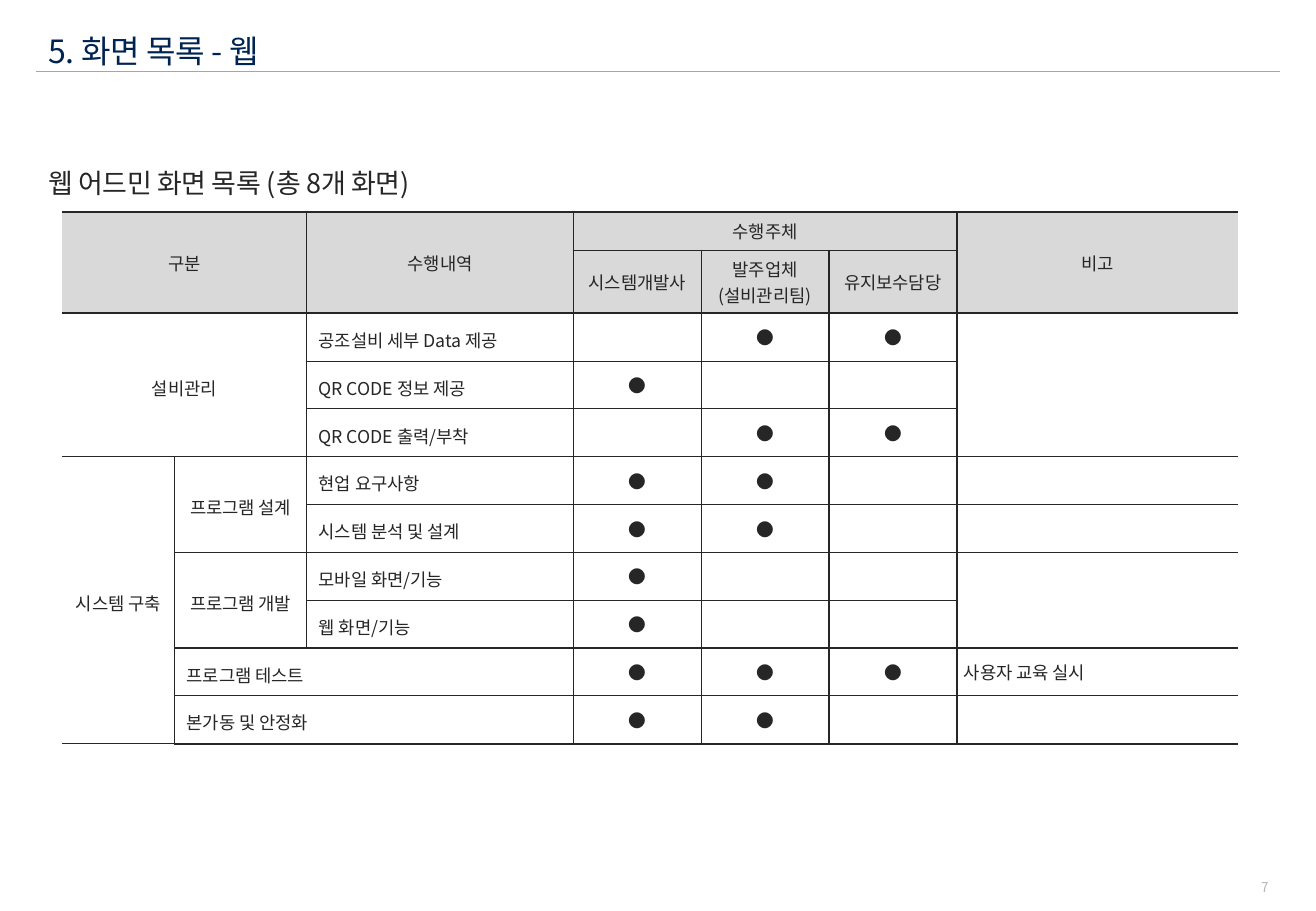
from lxml import etree
from pptx import Presentation
from pptx.dml.color import RGBColor
from pptx.enum.shapes import MSO_CONNECTOR
from pptx.enum.text import MSO_ANCHOR, PP_ALIGN
from pptx.oxml.ns import qn
from pptx.util import Cm, Pt

LEFT, CENTER, RIGHT = PP_ALIGN.LEFT, PP_ALIGN.CENTER, PP_ALIGN.RIGHT
TOP, MIDDLE = MSO_ANCHOR.TOP, MSO_ANCHOR.MIDDLE
STRAIGHT = MSO_CONNECTOR.STRAIGHT

THEME = {
    "font": "Noto Sans CJK KR",
    "navy": "002452", "ink": "262626", "muted": "B6B6B6",
    "rule": "A6A6A6", "header": "D9D9D9", "body": "FFFFFF",
    "title": 19, "subtitle": 16, "cell": 10.5, "number": 8,
    "thin": 0.75, "medium": 1.25, "thick": 1.5,
}


def write(frame, text, size, color, align=LEFT, spacing=1.0, tracking=0):
    frame.text = text
    for para in frame.paragraphs:
        para.alignment, para.line_spacing = align, spacing
        for span in para.runs:
            span.font.size = Pt(size)
            span.font.name = THEME["font"]
            span.font.color.rgb = RGBColor.from_string(color)
            props = span.font._element
            etree.SubElement(props, qn("a:ea"), typeface=THEME["font"])
            if tracking:
                props.set("spc", str(tracking))
        if not para.runs:
            etree.SubElement(para._p, qn("a:endParaRPr"), sz=str(int(size * 100)))


def add_border(cell, side, width):
    props = cell._tc.get_or_add_tcPr()
    line = etree.SubElement(props, qn(f"a:ln{side}"), w=str(Pt(width)))
    if width:
        fill = etree.SubElement(line, qn("a:solidFill"))
        etree.SubElement(fill, qn("a:srgbClr"), val=THEME["ink"])
    else:
        etree.SubElement(line, qn("a:noFill"))


deck = Presentation()
deck.slide_width, deck.slide_height = Cm(27.51), Cm(19.05)
page = deck.slides.add_slide(deck.slide_layouts[6])

rule = page.shapes.add_connector(STRAIGHT, Cm(0.76), Cm(1.5), Cm(26.75), Cm(1.5))
rule.line.color.rgb = RGBColor.from_string(THEME["rule"])
rule.line.width = Pt(0.5)
etree.SubElement(rule._element.spPr, qn("a:effectLst"))

LABELS = [
    ("5. 화면 목록 - 웹", (0.76, 0.38, 17.15, 1.22), MIDDLE,
     ("title", "navy", LEFT, 1.2, -20)),
    ("7", (25.73, 18.34, 1.04, 0.41), MIDDLE,
     ("number", "muted", RIGHT, 1.0, 0)),
    ("웹 어드민 화면 목록 (총 8개 화면)", (0.76, 3.23, 26.01, 2.44), TOP,
     ("subtitle", "ink", LEFT, 1.2, -20)),
]
for text, area, anchor, (size, color, *layout) in LABELS:
    box = page.shapes.add_textbox(*map(Cm, area))
    frame = box.text_frame
    for name, value in {"word_wrap": True, "vertical_anchor": anchor}.items():
        setattr(frame, name, value)
    write(frame, text, THEME[size], THEME[color], *layout)

DOT = "●"
ROWS = [
    ["구분", "", "수행내역", "수행주체", "", "", "비고"],
    ["", "", "", "시스템개발사", "발주업체\n(설비관리팀)", "유지보수담당", ""],
    ["설비관리", "", "공조설비 세부 Data 제공", "", DOT, DOT, ""],
    ["", "", "QR CODE 정보 제공", DOT, "", "", ""],
    ["", "", "QR CODE 출력/부착", "", DOT, DOT, ""],
    ["시스템 구축", "프로그램 설계", "현업 요구사항", DOT, DOT, "", ""],
    ["", "", "시스템 분석 및 설계", DOT, DOT, "", ""],
    ["", "프로그램 개발", "모바일 화면/기능", DOT, "", "", ""],
    ["", "", "웹 화면/기능", DOT, "", "", ""],
    ["", "프로그램 테스트", "", DOT, DOT, DOT, "사용자 교육 실시"],
    ["", "본가동 및 안정화", "", DOT, DOT, "", ""],
]
MERGES = [
    (0, 0, 1, 1), (0, 2, 1, 2), (0, 3, 0, 5), (0, 6, 1, 6),
    (2, 0, 4, 1), (2, 6, 4, 6), (5, 0, 10, 0), (5, 1, 6, 1),
    (7, 1, 8, 1), (7, 6, 8, 6), (9, 1, 9, 2), (10, 1, 10, 2),
]
WIDTHS = [2.35, 2.76, 5.58, 2.67, 2.67, 2.67, 5.88]
HEIGHTS = [0.79, 1.32] + [1.0] * 9
HEADER_ROWS, LAST_ROW, REMARK = 2, len(ROWS) - 1, len(WIDTHS) - 1

table = page.shapes.add_table(
    len(ROWS), len(WIDTHS), Cm(1.3), Cm(4.44), Cm(sum(WIDTHS)), Cm(sum(HEIGHTS))
).table
table.first_row = table.horz_banding = False
for column, width in zip(table.columns, WIDTHS):
    column.width = Cm(width)
for row, height in zip(table.rows, HEIGHTS):
    row.height = Cm(height)

for r, texts in enumerate(ROWS):
    for c, text in enumerate(texts):
        cell = table.cell(r, c)
        in_header = r < HEADER_ROWS
        in_task = not in_header and c < 3
        is_left = not in_header and (c in (2, REMARK) or (c == 1 and r > 8))
        write(cell.text_frame, text, THEME["cell"], THEME["ink"],
              LEFT if is_left else CENTER, 1.2 if in_task else 1.0)
        cell.vertical_anchor = MIDDLE
        if text == DOT or (c == REMARK and not in_header):
            cell.margin_left = Cm(0.15 if c == REMARK else 0)
            cell.margin_right = cell.margin_top = cell.margin_bottom = 0
        borders = {
            "L": 0 if c == 0 else THEME["medium" if c == REMARK else "thin"],
            "R": 0 if c == REMARK else THEME["medium" if c == REMARK - 1 else "thin"],
            "T": THEME["thick" if r == 0 else "medium" if r == HEADER_ROWS else "thin"],
            "B": THEME["thick" if r == LAST_ROW
                       else "medium" if r == HEADER_ROWS - 1 else "thin"],
        }
        for side, width in borders.items():
            add_border(cell, side, width)
        cell.fill.solid()
        cell.fill.fore_color.rgb = RGBColor.from_string(
            THEME["header" if in_header else "body"])

for top, left, bottom, right in MERGES:
    table.cell(top, left).merge(table.cell(bottom, right))

deck.save("out.pptx")
